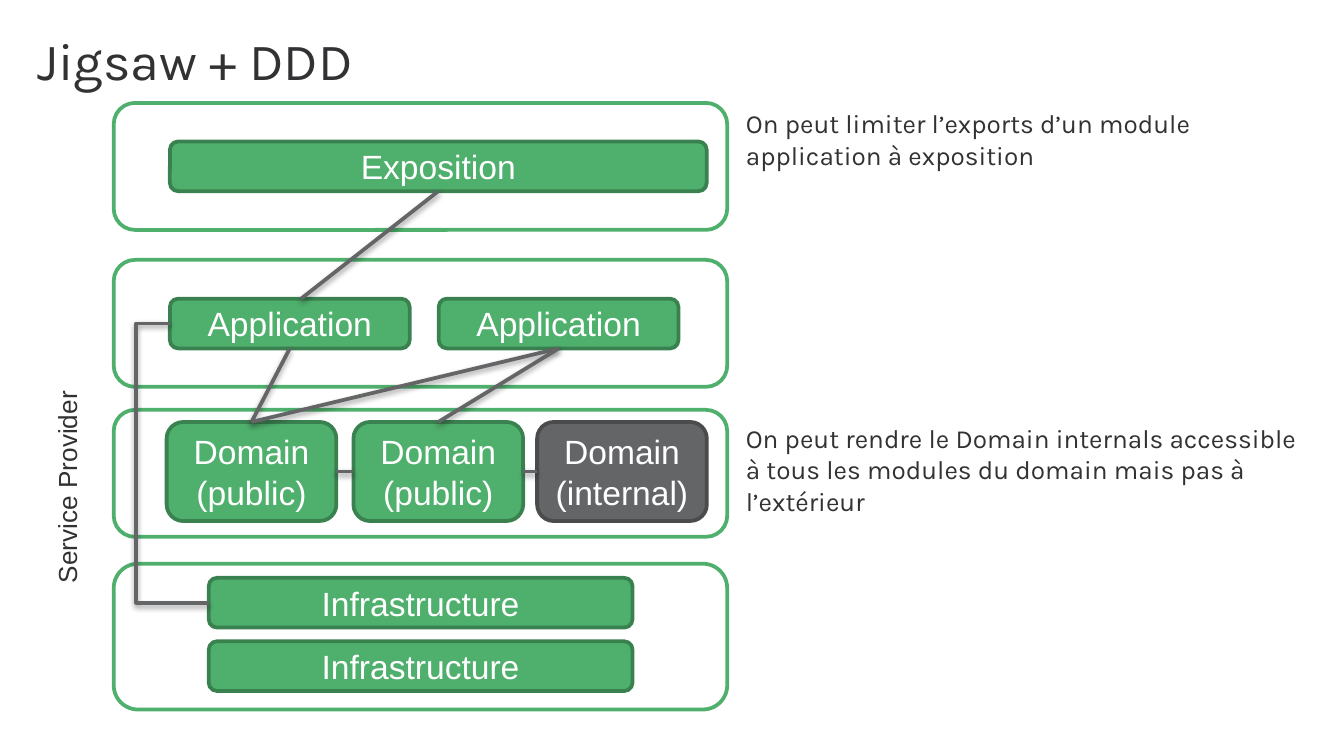
from lxml import etree
from pptx import Presentation
from pptx.dml.color import RGBColor
from pptx.enum.shapes import MSO_CONNECTOR as Connector, MSO_SHAPE as Shape
from pptx.enum.text import MSO_ANCHOR as Anchor, PP_ALIGN as Align
from pptx.oxml import parse_xml
from pptx.oxml.ns import nsdecls, qn
from pptx.util import Inches, Pt

WHITE = RGBColor(0xFF, 0xFF, 0xFF)
GREEN = RGBColor(0x4F, 0xAF, 0x6C)
DARK_GREEN = RGBColor(0x3A, 0x81, 0x50)
GRAY = RGBColor(0x64, 0x65, 0x67)
DARK_GRAY = RGBColor(0x4A, 0x4B, 0x4C)
INK = RGBColor(0x32, 0x32, 0x34)

presentation = Presentation()
presentation.slide_width = Inches(10)
presentation.slide_height = Inches(10 * 9 / 16)
COLUMN = presentation.slide_width / 100
ROW = presentation.slide_height / 56.25
slide = presentation.slides.add_slide(presentation.slide_layouts[6])


def add_box(left, top, width, height, fill, outline, lines=()):
    shape = slide.shapes.add_shape(
        Shape.ROUNDED_RECTANGLE, int(left * COLUMN), int(top * ROW),
        int(width * COLUMN), int(height * ROW))
    shape.shadow.inherit = False
    shape.fill.solid()
    shape.fill.fore_color.rgb = fill
    shape.line.color.rgb = outline
    shape.line.width = Pt(2)
    frame = shape.text_frame
    frame.margin_left = frame.margin_right = Inches(0.1)
    frame.margin_top = frame.margin_bottom = Inches(0.1)
    frame.vertical_anchor = Anchor.MIDDLE
    for index, line in enumerate(lines):
        paragraph = frame.add_paragraph() if index else frame.paragraphs[0]
        paragraph.text = line
        paragraph.alignment = Align.CENTER
        paragraph.font.name = "Arial"
        paragraph.font.size = Pt(18)
        paragraph.font.color.rgb = WHITE
    return shape


def add_link(start, start_site, end, end_site, kind=Connector.STRAIGHT):
    link = slide.shapes.add_connector(kind, 0, 0, 0, 0)
    link.begin_connect(start, start_site)
    link.end_connect(end, end_site)
    link.line.color.rgb = GRAY
    link.line.width = Pt(2)
    link._element.spPr.append(parse_xml(
        f'<a:effectLst {nsdecls("a")}><a:outerShdw blurRad="40000" dist="20000" '
        'dir="5400000" rotWithShape="0"><a:srgbClr val="000000">'
        '<a:alpha val="38000"/></a:srgbClr></a:outerShdw></a:effectLst>'))
    return link


for top, height in ((7.66, 9.45), (19.34, 9.45), (30.5, 9.45), (41.95, 10.85)):
    add_box(8.46, top, 45.65, height, WHITE, GREEN)

exposition = add_box(12.64, 10.53, 39.94, 3.7, GREEN, DARK_GREEN, ["Exposition"])
applications = [
    add_box(12.64 + 20 * index, 22.23, 17.84, 3.7, GREEN, DARK_GREEN, ["Application"])
    for index in range(2)]
domains = [
    add_box(left, 31.4, 12.63, 7.37, fill, outline, ["Domain", f"({access})"])
    for left, access, fill, outline in (
        (12.4, "public", GREEN, DARK_GREEN),
        (26.3, "public", GREEN, DARK_GREEN),
        (39.97, "internal", GRAY, DARK_GRAY))]
infrastructures = [
    add_box(15.53, 43 + 4.72 * index, 31.53, 3.7, GREEN, DARK_GREEN, ["Infrastructure"])
    for index in range(2)]

exposition_link = add_link(exposition, 2, applications[0], 0)
exposition_link.end_x = int(22.4 * COLUMN)
end_connection = exposition_link._element.find(".//" + qn("a:endCxn"))
end_connection.getparent().remove(end_connection)

for left_domain, right_domain in zip(domains, domains[1:]):
    add_link(left_domain, 3, right_domain, 1)
for application, domain in ((0, 0), (1, 0), (1, 1)):
    add_link(applications[application], 2, domains[domain], 0)

provider_link = add_link(applications[0], 1, infrastructures[0], 1, Connector.ELBOW)
adjustments = provider_link._element.spPr.find(qn("a:prstGeom")).get_or_add_avLst()
etree.SubElement(adjustments, qn("a:gd"), name="adj1", fmla="val -86600")

for left, top, width, height, text, font_name, size, rotation in (
    (55.5, 31.42, 42.4, 8.5,
     "On peut rendre le Domain internals accessible à tous les modules "
     "du domain mais pas à l’extérieur", "Karla", 14, 0),
    (55.5, 8, 40.9, 8.5,
     "On peut limiter l’exports d’un module application à exposition",
     "Karla", 14, 0),
    (-3, 32.3, 17.9, 4.3, "Service Provider", "Arial", 14, 270),
    (2.76, 2.1, 40.9, 5.5, "Jigsaw + DDD", "Karla", 28, 0),
):
    text_box = slide.shapes.add_textbox(
        int(left * COLUMN), int(top * ROW), int(width * COLUMN), int(height * ROW))
    text_box.rotation = rotation
    frame = text_box.text_frame
    frame.word_wrap = True
    frame.margin_left = frame.margin_right = 0
    frame.margin_top = frame.margin_bottom = 0
    paragraph = frame.paragraphs[0]
    paragraph.text = text
    paragraph.font.name = font_name
    paragraph.font.size = Pt(size)
    paragraph.font.color.rgb = INK

presentation.save("out.pptx")
